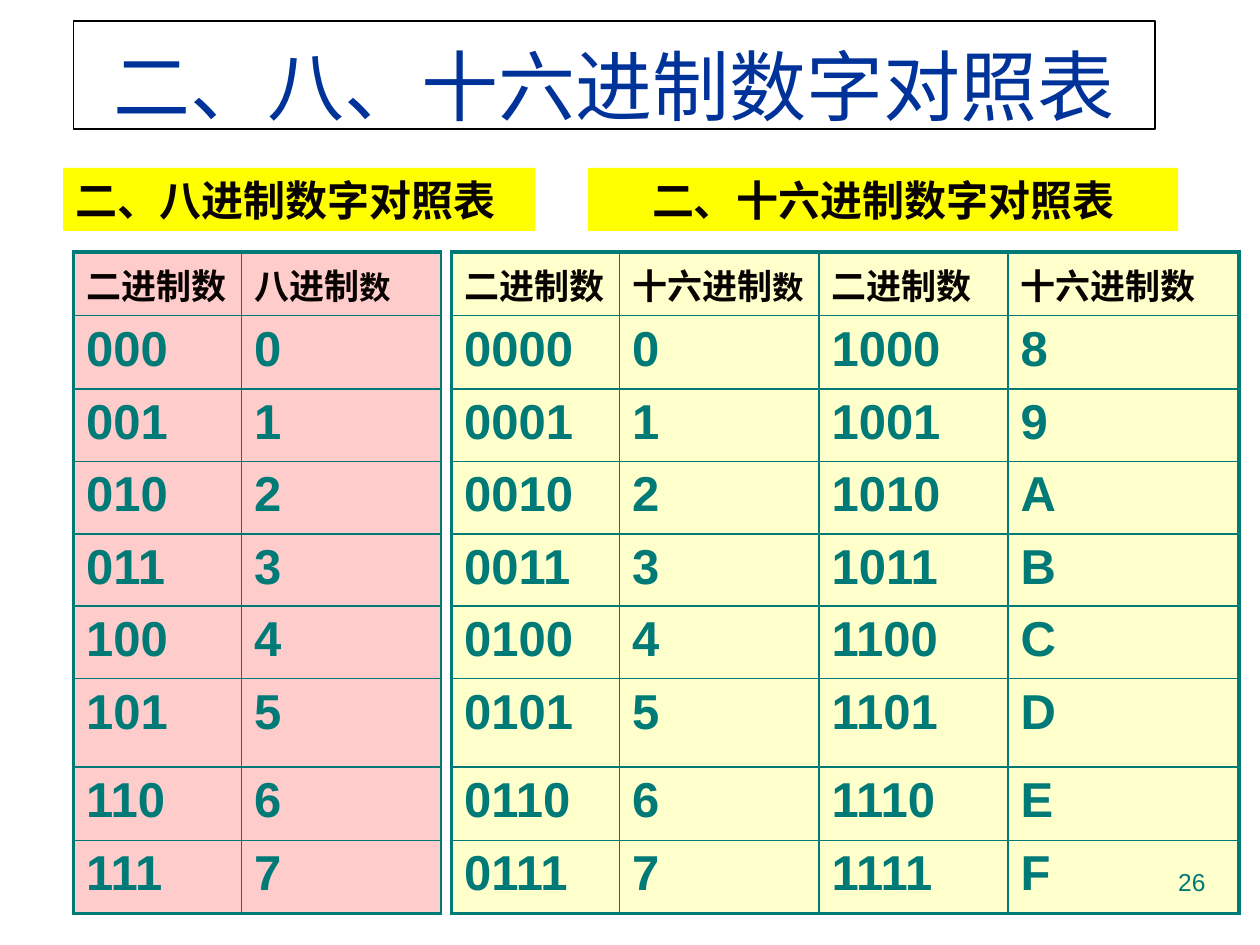
import pptx
import pptx.util
import pptx.dml.color
import pptx.enum.text
import pptx.enum.shapes
import lxml.etree

RGB = pptx.dml.color.RGBColor
TEAL = RGB(0x00, 0x7A, 0x77)
BLUE = RGB(0x00, 0x33, 0x99)
INK = RGB(0x08, 0x03, 0x00)
BLACK = RGB(0x00, 0x00, 0x00)
WHITE = RGB(0xFF, 0xFF, 0xFF)
YELLOW = RGB(0xFF, 0xFF, 0x00)
PINK = RGB(0xFF, 0xCC, 0xCC)
CREAM = RGB(0xFF, 0xFF, 0xCC)

ALIGN = pptx.enum.text.PP_ALIGN
MIDDLE = pptx.enum.text.MSO_ANCHOR.MIDDLE
UNIT = pptx.util.Inches(10) / 120
ROWS = [6, 7] + [6.9] * 4 + [8.4, 7, 7]
THIN, THICK = 1, 2.25


def grid(*nums):
    return [round(num * UNIT) for num in nums]


def style(font, name, size, color, bold=False):
    font.name = name
    font.size = pptx.util.Pt(size)
    font.color.rgb = color
    font.bold = bold


def add_title(slide, text, box):
    title = slide.shapes.title
    title.left, title.top, title.width, title.height = grid(*box)
    title.fill.solid()
    title.fill.fore_color.rgb = WHITE
    title.line.color.rgb = BLACK
    title.line.width = pptx.util.Pt(0.75)
    frame = title.text_frame
    frame.text = text
    frame.auto_size = pptx.enum.text.MSO_AUTO_SIZE.NONE
    frame.vertical_anchor = MIDDLE
    para = frame.paragraphs[0]
    para.alignment = ALIGN.CENTER
    para.line_spacing = 1.2
    style(para.font, "Noto Sans CJK SC", 44, BLUE)


def add_label(slide, text, box, align):
    shape = slide.shapes.add_shape(
        pptx.enum.shapes.MSO_SHAPE.RECTANGLE, *grid(*box))
    shape.shadow.inherit = False
    shape.fill.solid()
    shape.fill.fore_color.rgb = YELLOW
    shape.line.fill.background()
    frame = shape.text_frame
    frame.text = text
    frame.vertical_anchor = MIDDLE
    para = frame.paragraphs[0]
    para.alignment = align
    style(para.font, "Times New Roman", 24, INK, True)


def add_edge(cell, side, width):
    space = pptx.oxml.ns.nsdecls("a")
    cell._tc.get_or_add_tcPr().append(pptx.oxml.parse_xml(
        f'<a:ln{side} {space} w="{pptx.util.Pt(width)}"><a:solidFill>'
        f'<a:srgbClr val="{TEAL}"/></a:solidFill></a:ln{side}>'))


def fill_cell(cell, text, head, fill, edges):
    for side, width in edges.items():
        add_edge(cell, side, width)
    cell.fill.solid()
    cell.fill.fore_color.rgb = fill
    para = cell.text_frame.paragraphs[0]
    main, _, small = text.partition("|")
    para.add_run().text = main
    if small:
        run = para.add_run()
        run.text = small
        run.font.size = pptx.util.Pt(18)
    style(para.font, "Arial", 20 if head else 28, INK if head else TEAL, True)


def add_grid(slide, left, cols, data, fill, right):
    frame = slide.shapes.add_table(
        len(data), len(cols), *grid(left, 24, sum(cols), sum(ROWS)))
    table = frame.table
    table.first_row = table.horz_banding = False
    for col, width in zip(table.columns, grid(*cols)):
        col.width = width
    for row, height in zip(table.rows, grid(*ROWS)):
        row.height = height
    end, last = len(data) - 1, len(cols) - 1
    for r, line in enumerate(data):
        for c, text in enumerate(line):
            edges = {
                "L": THIN if c else THICK,
                "R": right if c == last else THIN,
                "T": THIN if r else THICK,
                "B": THICK if r == end else THIN,
            }
            fill_cell(table.cell(r, c), text, r == 0, fill, edges)


def add_number(slide, text, box):
    frame = slide.shapes.add_textbox(*grid(*box)).text_frame
    frame.word_wrap = True
    frame.text = text
    para = frame.paragraphs[0]
    para.alignment = ALIGN.RIGHT
    style(para.font, "Arial", 14, TEAL)


def main():
    deck = pptx.Presentation()
    deck.slide_width, deck.slide_height = grid(120, 90)
    slide = deck.slides.add_slide(deck.slide_layouts[5])
    octal = [["二进制数", "八进制|数"]]
    octal += [[f"{n:03b}", f"{n}"] for n in range(8)]
    hexa = [["二进制数", "十六进制|数", "二进制数", "十六进制数"]]
    hexa += [[f"{n:04b}", f"{n:X}", f"{n + 8:04b}", f"{n + 8:X}"]
             for n in range(8)]
    add_title(slide, "二、八、十六进制数字对照表", (7, 2, 103, 10.3))
    add_grid(slide, 43, [16, 19, 18, 22], hexa, CREAM, THICK)
    add_label(slide, "二、八进制数字对照表", (6, 16, 45, 6), ALIGN.LEFT)
    add_label(slide, "二、十六进制数字对照表", (56, 16, 56.2, 6), ALIGN.CENTER)
    add_grid(slide, 7, [16, 19], octal, PINK, THIN)
    add_number(slide, "26", (86, 82, 30, 6.2))
    deck.save("out.pptx")


if __name__ == "__main__":
    main()
